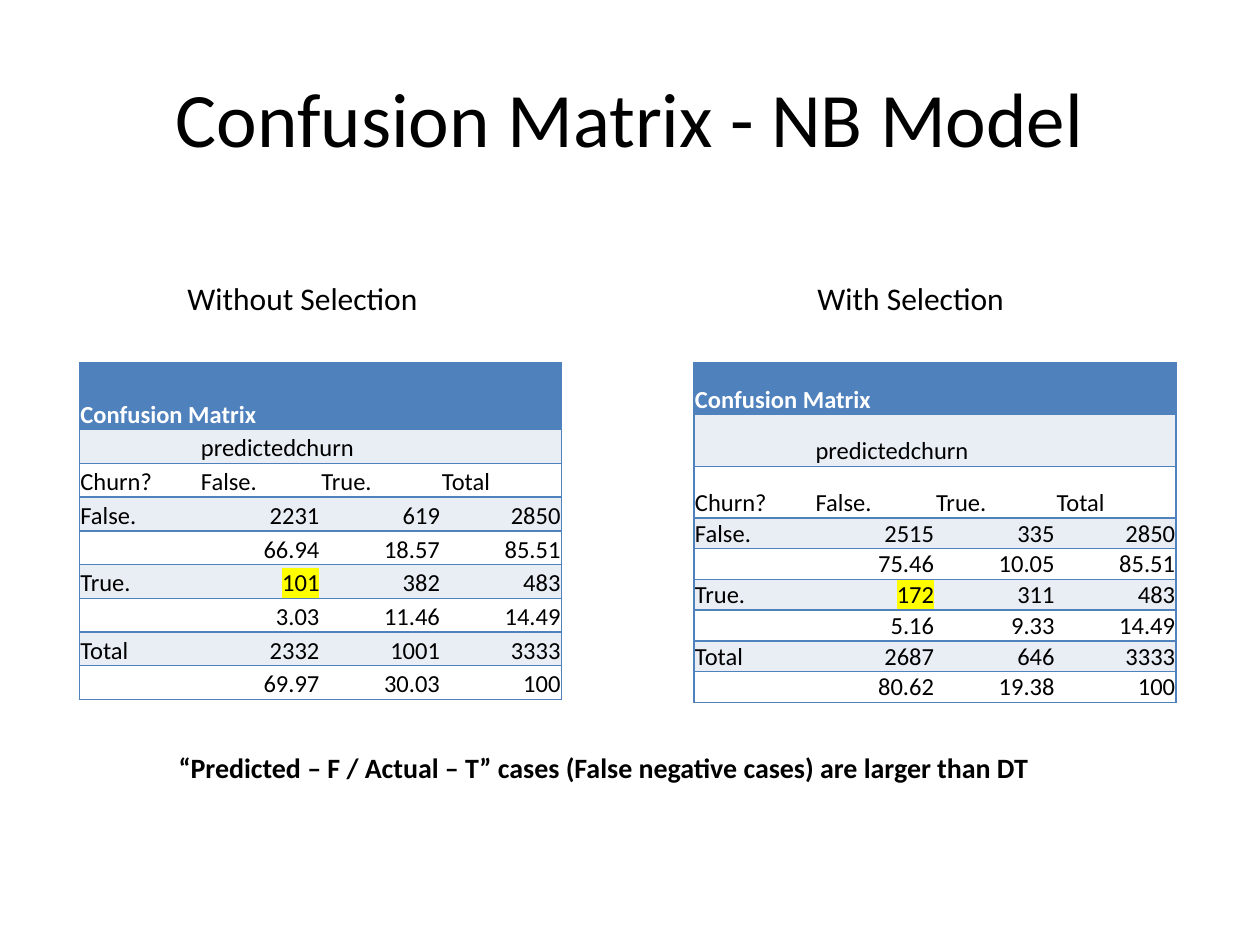
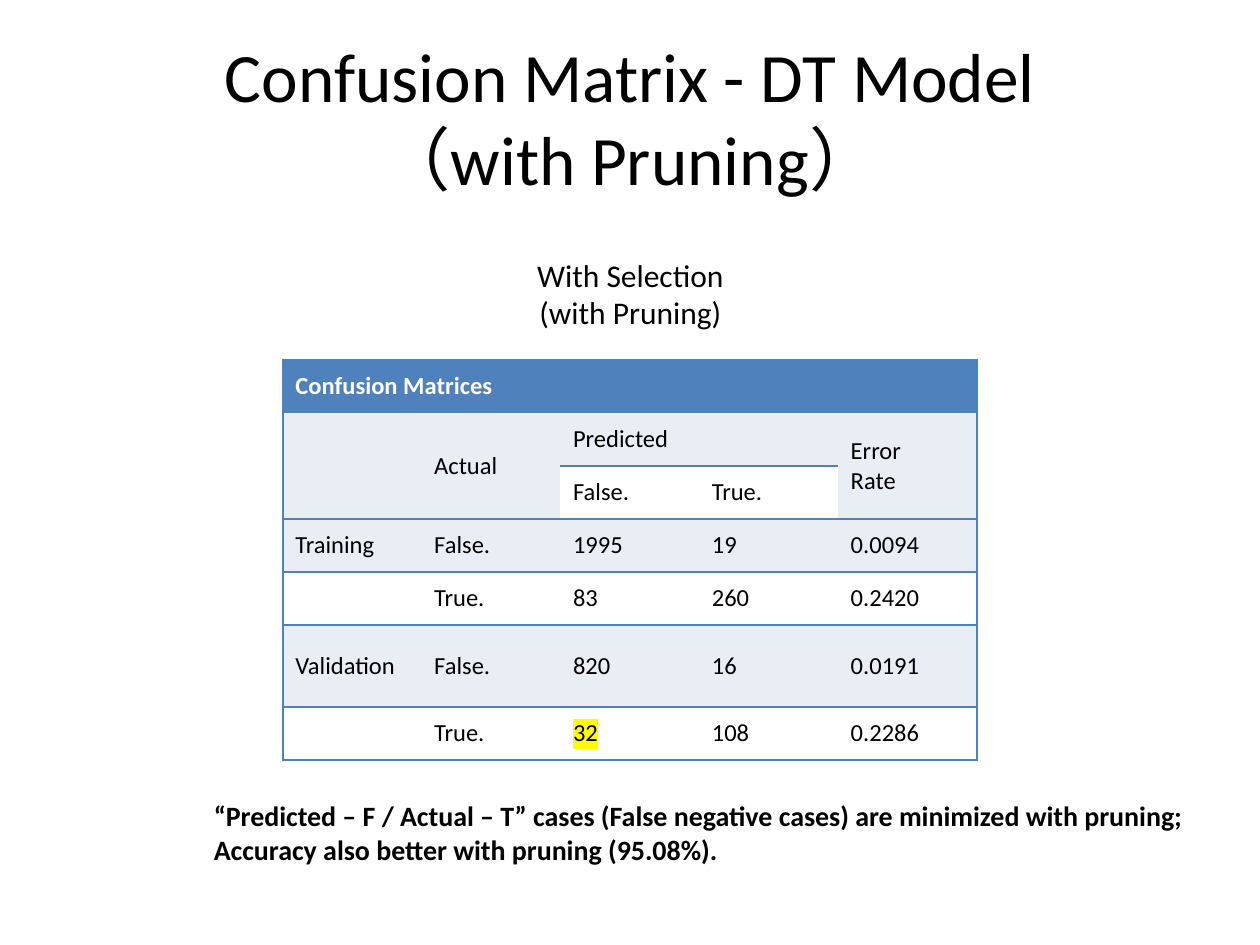
import pptx
import pptx.util
import pptx.dml.color
import pptx.enum.text
from pptx.oxml import ns
from lxml import etree

Cm, Pt = pptx.util.Cm, pptx.util.Pt
RGB = pptx.dml.color.RGBColor.from_string
ALIGN, ANCHOR = pptx.enum.text.PP_ALIGN, pptx.enum.text.MSO_ANCHOR
FONT = "Calibri"
PLAIN = "{2D5ABB26-0587-4C30-8999-92F81FD0307C}"  # table style without grid
INK = {"text": "000000", "blue": "4F81BD", "band": "E9EDF4",
       "white": "FFFFFF", "mark": "FFFF00"}


def write(frame, text, size, bold=False, ink="text", align=ALIGN.LEFT, mark=False):
    frame.text = text
    for par in frame.paragraphs:
        par.alignment = align
        for run in par.runs:
            font = run.font
            font.size, font.bold = Pt(size), bold
            font.color.rgb = RGB(INK[ink])
            if mark:
                glow = etree.SubElement(run._r.rPr, ns.qn("a:highlight"))
                etree.SubElement(glow, ns.qn("a:srgbClr"), val=INK["mark"])
            font.name = FONT
        etree.SubElement(par._p, ns.qn("a:endParaRPr"), sz=str(round(size * 100)))


def grid(slide, left, top, width, heights, rows, spans, mark, tight):
    count = len(rows[0])
    table = slide.shapes.add_table(len(rows), count, Cm(left), Cm(top),
                                   Cm(width * count), Cm(sum(heights))).table
    table._tbl.tblPr[0].text = PLAIN
    for col in table.columns:
        col.width = Cm(width)
    for row, height in zip(table.rows, heights):
        row.height = Cm(height)
    for y, x, down, right in spans:
        table.cell(y, x).merge(table.cell(y + down - 1, x + right - 1))
    for y, row in enumerate(rows):
        for x, text in enumerate(row):
            cell = table.cell(y, x)
            # Insets and text
            cell.vertical_anchor = ANCHOR.MIDDLE
            if tight:
                cell.vertical_anchor = ANCHOR.BOTTOM
                cell.margin_left = cell.margin_right = cell.margin_top = Cm(0.02)
                cell.margin_bottom = 0
            number = tight and y > 2 and x > 0
            write(cell.text_frame, text, 14, y == 0, "text" if y else "white",
                  ALIGN.RIGHT if number else ALIGN.LEFT, (y, x) == mark)
            # Lines above and below, and at the outer sides
            sides = ["lnL"] if x == 0 else []
            if x + cell.span_width == count:
                sides.append("lnR")
            for side in [] if cell.is_spanned else sides + ["lnT", "lnB"]:
                line = etree.SubElement(cell._tc.get_or_add_tcPr(),
                                        ns.qn("a:" + side), w=str(Pt(1)))
                fill = etree.SubElement(line, ns.qn("a:solidFill"))
                etree.SubElement(fill, ns.qn("a:srgbClr"), val=INK["blue"])
            # Banded fill
            cell.fill.solid()
            shade = "blue" if y == 0 else "band" if y % 2 else "white"
            cell.fill.fore_color.rgb = RGB(INK[shade])


deck = pptx.Presentation()
deck.slide_width, deck.slide_height = Cm(25.4), Cm(19.05)

# Titles, captions and notes: left, top, width, height, text, size, bold, align
pages = [
    [(1.27, 0.76, 22.86, 3.18, "Confusion Matrix - NB Model", 44, False, ALIGN.CENTER),
     (3.53, 5.51, 20.6, 1.8, "Without Selection\tWith Selection", 18, False, ALIGN.LEFT),
     (3.35, 15.01, 20.78, 0.94,
      "“Predicted – F / Actual – T” cases (False negative cases) are larger than DT",
      16, True, ALIGN.LEFT)],
    [(1.27, 0.76, 22.86, 3.18, "Confusion Matrix - DT Model\v（with Pruning）",
      39.6, False, ALIGN.CENTER),
     (2.41, 5.03, 20.6, 1.8, "With Selection\n(with Pruning)", 18, False, ALIGN.CENTER),
     (4.06, 15.98, 21.06, 1.63,
      "“Predicted – F / Actual – T” cases (False negative cases) are minimized with "
      "pruning;\nAccuracy also better with pruning (95.08%).", 16, True, ALIGN.LEFT)],
]
slides = []
for page in pages:
    slide = deck.slides.add_slide(deck.slide_layouts[6])
    slides.append(slide)
    for nth, (left, top, width, height, text, size, bold, align) in enumerate(page):
        box = slide.shapes.add_textbox(Cm(left), Cm(top), Cm(width), Cm(height))
        frame = box.text_frame
        frame.word_wrap = True
        frame.vertical_anchor = ANCHOR.TOP if nth else ANCHOR.MIDDLE
        write(frame, text, size, bold, "text", align)
        if "\t" in text:
            tabs = etree.SubElement(frame.paragraphs[0]._p.get_or_add_pPr(),
                                    ns.qn("a:tabLst"))
            etree.SubElement(tabs, ns.qn("a:tab"), pos=str(Cm(12.7)), algn="l")

# Slide 1: both NB matrices
heads = [["Confusion Matrix", "", "", ""], ["", "predictedchurn", "", ""],
         ["Churn?", "False.", "True.", "Total"]]
names = ["False.", "", "True.", "", "Total", ""]
without = ["2231 619 2850", "66.94 18.57 85.51", "101 382 483",
           "3.03 11.46 14.49", "2332 1001 3333", "69.97 30.03 100"]
chosen = ["2515 335 2850", "75.46 10.05 85.51", "172 311 483",
          "5.16 9.33 14.49", "2687 646 3333", "80.62 19.38 100"]
for left, heights, values in [(1.6, [1.34] + [0.68] * 8, without),
                              (13.99, [1.04] * 3 + [0.62] * 6, chosen)]:
    body = [[name] + line.split() for name, line in zip(names, values)]
    grid(slides[0], left, 7.32, 2.43, heights, heads + body,
         [(0, 0, 1, 2), (1, 1, 1, 2)], (5, 1), True)

# Slide 2: DT matrix
rows = [["Confusion Matrices", "", "", "", ""],
        ["", "Actual", "Predicted", "", "Error\vRate"],
        ["", "", "False.", "True.", ""],
        ["Training", "False.", "1995", "19", "0.0094"],
        ["", "True.", "83", "260", "0.2420"],
        ["Validation", "False.", "820", "16", "0.0191"],
        ["", "True.", "32", "108", "0.2286"]]
spans = [(0, 0, 1, 5), (1, 0, 2, 1), (1, 1, 2, 1), (1, 2, 1, 2), (1, 4, 2, 1)]
grid(slides[1], 5.7, 7.25, 2.8, [1.07] * 5 + [1.65, 1.07], rows, spans, (6, 2), False)

deck.save("out.pptx")
